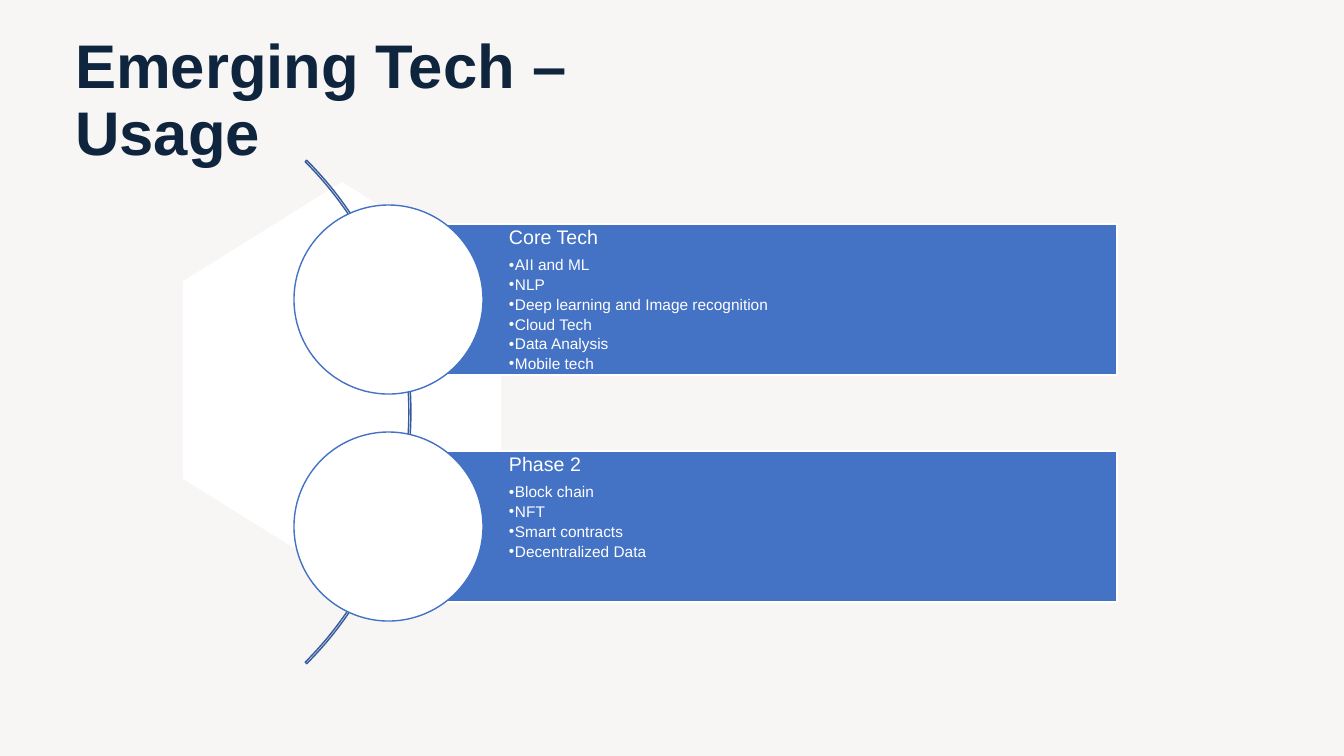
from dataclasses import dataclass

from lxml import etree
from pptx import Presentation
from pptx import util as u
from pptx.dml.color import RGBColor
from pptx.enum import shapes, text
from pptx.oxml.ns import qn

PX = 914400 / 100.8


def px(length):
    return u.Emu(round(length * PX))


@dataclass(frozen=True)
class Theme:
    font: str = "Arial"
    background: str = "F8F6F5"
    navy: str = "0F253E"
    blue: str = "4472C4"
    arc: str = "365B9D"
    white: str = "FFFFFF"
    title_size: int = 44
    heading_size: int = 14
    item_size: int = 11


class SlideBuilder:
    def __init__(self, slide, theme):
        self.slide = slide
        self.theme = theme
        slide.background.fill.solid()
        slide.background.fill.fore_color.rgb = RGBColor.from_string(theme.background)

    def paint(self, shape, fill=None, line=None):
        if fill:
            shape.fill.solid()
            shape.fill.fore_color.rgb = RGBColor.from_string(fill)
        else:
            shape.fill.background()
        if line:
            shape.line.color.rgb = RGBColor.from_string(line)
            shape.line.width = u.Pt(1)
        else:
            shape.line.fill.background()

    def shape(self, kind, at, fill=None, line=None, adjustments=()):
        shape = self.slide.shapes.add_shape(kind, *map(px, at))
        shape.shadow.inherit = False
        self.paint(shape, fill, line)
        for index, value in enumerate(adjustments):
            shape.adjustments[index] = value
        return shape

    def place(self, placeholder, at):
        """Move a placeholder to its spot and to the front; return its text frame."""
        placeholder.left, placeholder.top, placeholder.width, placeholder.height = map(px, at)
        self.slide.shapes._spTree.append(placeholder.element)
        frame = placeholder.text_frame
        frame.auto_size = text.MSO_AUTO_SIZE.NONE
        frame.word_wrap = True
        return frame

    def style(self, para, size, color, after=0, bold=False):
        para.alignment = text.PP_ALIGN.LEFT
        para.line_spacing = 0.9
        para.space_before = u.Pt(0)
        para.space_after = u.Pt(after)
        para.font.name = self.theme.font
        para.font.size = u.Pt(size)
        para.font.bold = bold
        para.font.color.rgb = RGBColor.from_string(color)

    def bullet(self, para, char=None, hang=0):
        props = para._p.get_or_add_pPr()
        props.set("marL", str(px(hang)))
        props.set("indent", str(px(-hang)))
        if char:
            etree.SubElement(props, qn("a:buChar")).set("char", char)
        else:
            etree.SubElement(props, qn("a:buNone"))

    def title(self, wording, at):
        frame = self.place(self.slide.shapes.title, at)
        frame.vertical_anchor = text.MSO_ANCHOR.MIDDLE
        frame.text = wording
        self.style(frame.paragraphs[0], self.theme.title_size, self.theme.navy, bold=True)

    def panel(self, placeholder, at, heading, items):
        theme = self.theme
        self.paint(placeholder, theme.blue, theme.white)
        frame = self.place(placeholder, at)
        frame.vertical_anchor = text.MSO_ANCHOR.TOP
        frame.margin_left = px(120)
        frame.margin_top = frame.margin_right = frame.margin_bottom = px(4)
        frame.text = "\n".join([heading, *items])
        first, *rest = frame.paragraphs
        self.bullet(first)
        self.style(first, theme.heading_size, theme.white, after=6)
        for para in rest:
            para.level = 1
            self.bullet(para, "•", 6)
            self.style(para, theme.item_size, theme.white, after=2.2)


PANELS = [
    ("Core Tech", ["AII and ML", "NLP", "Deep learning and Image recognition",
                   "Cloud Tech", "Data Analysis", "Mobile tech"]),
    ("Phase 2", ["Block chain", "NFT", "Smart contracts", "Decentralized Data"]),
]
PANEL_TOP, PANEL_PITCH, PANEL_HEIGHT = 224, 227, 151
CIRCLE = 189


def main():
    deck = Presentation()
    deck.slide_width, deck.slide_height = px(1344), px(756)
    two_lists = deck.slide_layouts[3]
    theme = Theme()
    page = SlideBuilder(deck.slides.add_slide(two_lists), theme)
    kinds = shapes.MSO_SHAPE

    hexagon = page.shape(kinds.HEXAGON, (144, 221, 396, 318), theme.white,
                         adjustments=(0.312, 1.155))
    hexagon.rotation = 90
    page.title("Emerging Tech – Usage", (65, -51, 693, 306))
    page.shape(kinds.BLOCK_ARC, (-301, 56, 712, 712), line=theme.arc,
               adjustments=(189, 27, 0.003))

    bodies = [page.slide.placeholders[index] for index in (1, 2)]
    for row, (body, (heading, items)) in enumerate(zip(bodies, PANELS)):
        top = PANEL_TOP + row * PANEL_PITCH
        page.panel(body, (389, top, 728, PANEL_HEIGHT), heading, items)
        circle_top = top + (PANEL_HEIGHT - CIRCLE) // 2
        page.shape(kinds.OVAL, (294, circle_top, CIRCLE, CIRCLE), theme.white, theme.blue)

    deck.save("out.pptx")


if __name__ == "__main__":
    main()
